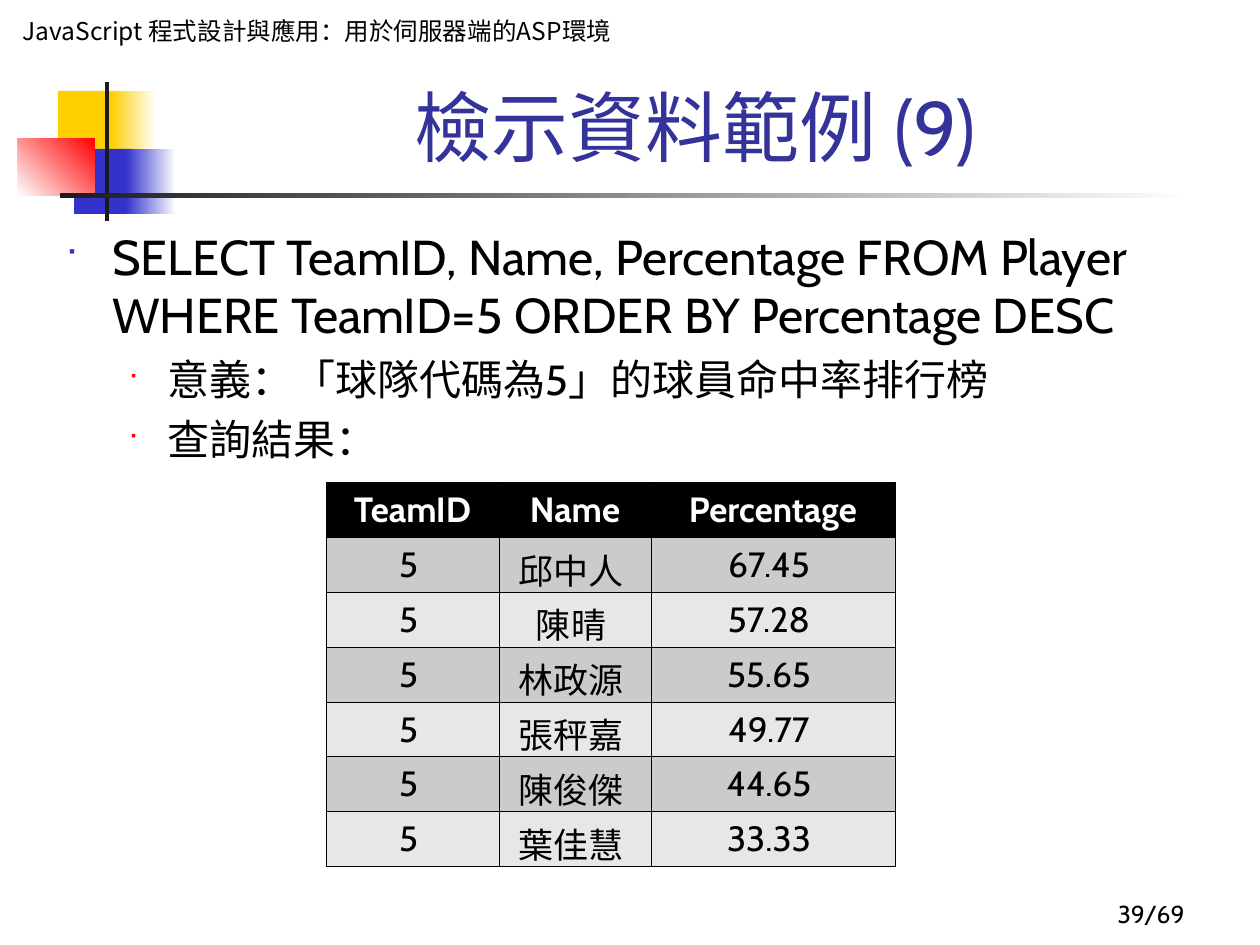
from lxml.etree import SubElement
from pptx import Presentation
from pptx.dml.color import RGBColor
from pptx.enum.shapes import MSO_SHAPE
from pptx.enum.text import MSO_ANCHOR, PP_ALIGN
from pptx.oxml import parse_xml
from pptx.oxml.ns import nsdecls, qn
from pptx.util import Emu, Pt

BLACK = RGBColor(0x00, 0x00, 0x00)
WHITE = RGBColor(0xFF, 0xFF, 0xFF)
CHARCOAL = RGBColor(0x1C, 0x1C, 0x1C)
YELLOW = RGBColor(0xFF, 0xCF, 0x01)
BLUE = RGBColor(0x33, 0x33, 0xCC)
RED = RGBColor(0xFF, 0x00, 0x00)
TITLE_BLUE = RGBColor(0x33, 0x33, 0x99)
DARK_BAND = RGBColor(0xCB, 0xCB, 0xCB)
LIGHT_BAND = RGBColor(0xE7, 0xE7, 0xE7)
LATIN_FONT = "Cabin"
ASIAN_FONT = "Noto Sans CJK SC"
NO_BREAK_SPACE = chr(160)


def px(*lengths):
    """Turn pixels (126 to the inch) into EMU."""
    return [Emu(round(length * 914400 / 126)) for length in lengths]


def write(paragraph, text, size, color, **format_values):
    """Add one run in the slide's fonts."""
    run = paragraph.add_run()
    run.text = text
    run.font.color.rgb = color
    values = {"name": LATIN_FONT, "size": Pt(size), "bold": False} | format_values
    for name, value in values.items():
        setattr(run.font, name, value)
    SubElement(run.font._element, qn("a:ea"), typeface=ASIAN_FONT)


presentation = Presentation()
presentation.slide_width, presentation.slide_height = px(1260, 945)
slide = presentation.slides.add_slide(presentation.slide_layouts[6])

# Corner decoration and course label: box, colours (two make a gradient), angle
decorations = [
    ((58, 91, 60, 65), [YELLOW], 0),
    ((111, 91, 45, 65), [YELLOW, WHITE], 0),
    ((74, 149, 58, 65), [BLUE], 0),
    ((126, 149, 50, 65), [BLUE, WHITE], 0),
    ((18, 138, 77, 58), [WHITE, RED], 45),
    ((105, 76, 4, 145), [CHARCOAL], 0),
    ((60, 193, 1134, 5), [CHARCOAL, WHITE], 0),
    ((10, 10, 620, 72), [WHITE], 0),
]
for box, colors, angle in decorations:
    shape = slide.shapes.add_shape(MSO_SHAPE.RECTANGLE, *px(*box))
    shape.shadow.inherit = False
    shape.line.fill.background()
    if len(colors) == 1:
        shape.fill.solid()
        shape.fill.fore_color.rgb = colors[0]
    else:
        shape.fill.gradient()
        shape.fill.gradient_angle = angle
        for stop, color, position in zip(shape.fill.gradient_stops, colors, (0, 1)):
            stop.color.rgb = color
            stop.position = position

course_label = shape.text_frame
course_label.word_wrap = True
course_label.vertical_anchor = MSO_ANCHOR.TOP
paragraph = course_label.paragraphs[0]
paragraph.alignment = PP_ALIGN.LEFT
paragraph.line_spacing = Pt(16.5)
write(paragraph, "JavaScript 程式設計與應用：用於伺服器端的ASP環境", 14, BLACK, name=ASIAN_FONT)

# Title and page number
captions = [
    ((159, 73, 1073, 105), "檢示資料範例 (9)", 44, TITLE_BLUE, PP_ALIGN.CENTER),
    ((935, 872, 262, 63), "39/69", 14, BLACK, PP_ALIGN.RIGHT),
]
for box, text, size, color, alignment in captions:
    frame = slide.shapes.add_textbox(*px(*box)).text_frame
    frame.word_wrap = True
    frame.vertical_anchor = MSO_ANCHOR.BOTTOM
    frame.paragraphs[0].alignment = alignment
    write(frame.paragraphs[0], text, size, color)

# Bulleted query and its meaning
levels = [
    {"size": 28, "margin": 47, "hanging": 47, "bullet": BLUE, "percent": 60},
    {"size": 24, "margin": 102, "hanging": 39, "bullet": RED, "percent": 55},
]
items = [
    (0, "SELECT TeamID, Name, Percentage FROM Player WHERE TeamID=5 ORDER BY Percentage DESC"),
    (1, "意義：「球隊代碼為5」的球員命中率排行榜"),
    (1, "查詢結果："),
]
body = slide.shapes.add_textbox(*px(53, 220, 1182, 640)).text_frame
body.word_wrap = True
for index, (level, text) in enumerate(items):
    style = levels[level]
    paragraph = body.add_paragraph() if index else body.paragraphs[0]
    paragraph.level = level
    if index:
        paragraph.space_before = Pt(6)
        paragraph.line_spacing = Pt(28.3)
    properties = paragraph._p.get_or_add_pPr()
    margin, hanging = px(style["margin"], style["hanging"])
    properties.set("marL", str(margin))
    properties.set("indent", str(-hanging))
    bullet_color = SubElement(properties, qn("a:buClr"))
    SubElement(bullet_color, qn("a:srgbClr"), val=str(style["bullet"]))
    SubElement(properties, qn("a:buSzPct"), val=str(style["percent"] * 1000))
    SubElement(properties, qn("a:buFont"), typeface="Wingdings")
    SubElement(properties, qn("a:buChar"), char="■")
    write(paragraph, text, style["size"], BLACK)

# Result table
header = ["TeamID", "Name", "Percentage"]
players = [
    ("邱中人", "67.45"),
    ("陳晴", "57.28"),
    ("林政源", "55.65"),
    ("張秤嘉", "49.77"),
    ("陳俊傑", "44.65"),
    ("葉佳慧", "33.33"),
]
rows = [header] + [
    [value + NO_BREAK_SPACE for value in ("5", *player)] for player in players
]
table = slide.shapes.add_table(len(rows), len(header), *px(326, 482, 569, 382)).table
table.first_row = table.horz_banding = False
for column, width in zip(table.columns, px(173, 152, 244)):
    column.width = width
for row_index, values in enumerate(rows):
    is_header = row_index == 0
    table.rows[row_index].height = px(55)[0]
    band = BLACK if is_header else (LIGHT_BAND, DARK_BAND)[row_index % 2]
    for column_index, value in enumerate(values):
        cell = table.cell(row_index, column_index)
        cell.vertical_anchor = MSO_ANCHOR.MIDDLE
        cell.fill.solid()
        cell.fill.fore_color.rgb = band
        for position, side in enumerate(("lnL", "lnR", "lnT", "lnB")):
            border = parse_xml(
                f'<a:{side} {nsdecls("a")} w="5715"><a:solidFill>'
                f'<a:srgbClr val="{BLACK}"/></a:solidFill></a:{side}>'
            )
            cell._tc.get_or_add_tcPr().insert(position, border)
        paragraph = cell.text_frame.paragraphs[0]
        paragraph.alignment = PP_ALIGN.CENTER
        write(paragraph, value, 20, WHITE if is_header else BLACK, bold=is_header)

presentation.save("out.pptx")
